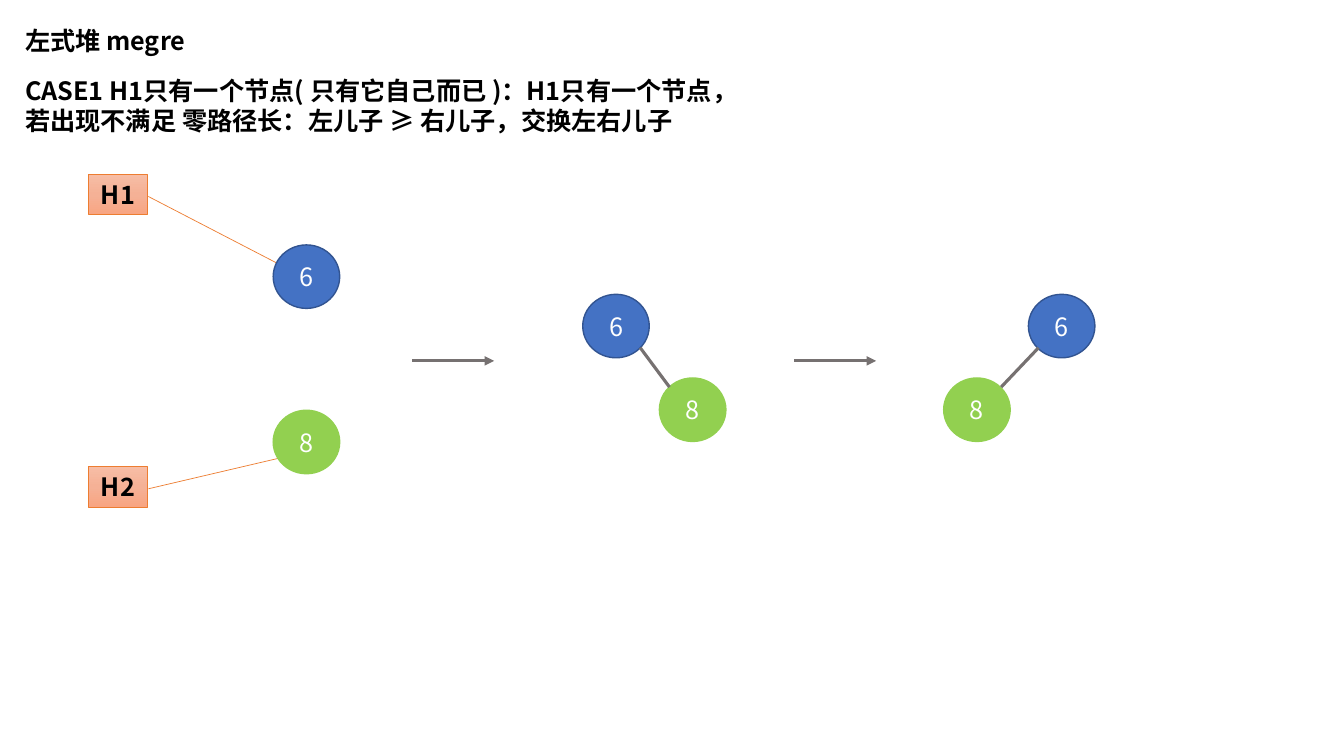
from copy import deepcopy

from lxml.etree import SubElement
from pptx import Presentation
from pptx.dml.color import RGBColor
from pptx.enum.shapes import MSO_CONNECTOR, MSO_SHAPE
from pptx.enum.text import MSO_ANCHOR, MSO_AUTO_SIZE, PP_ALIGN
from pptx.oxml.ns import qn
from pptx.util import Pt

PX = 9144  # EMU per px, 100 px to the inch
BLACK = RGBColor(0x00, 0x00, 0x00)
WHITE = RGBColor(0xFF, 0xFF, 0xFF)
BLUE = RGBColor(0x44, 0x72, 0xC4)
NAVY = RGBColor(0x32, 0x54, 0x91)
GREEN = RGBColor(0x92, 0xD0, 0x50)
GRAY = RGBColor(0x76, 0x71, 0x71)
ORANGE = RGBColor(0xED, 0x7D, 0x31)
PEACH_STOPS = [
    (0, RGBColor(0xF7, 0xBD, 0xA5)),
    (0.5, RGBColor(0xF5, 0xB1, 0x96)),
    (1, RGBColor(0xF8, 0xA5, 0x82)),
]
NODE_COLORS = {"6": (BLUE, NAVY), "8": (GREEN, GREEN)}
NODE_SIZE = (66, 63)


class HeapSlide:
    font_name = "Noto Sans CJK SC"
    font_format = {"name": font_name, "size": Pt(18)}
    centered_frame = {"word_wrap": True, "vertical_anchor": MSO_ANCHOR.MIDDLE}
    growing_frame = {"word_wrap": True, "auto_size": MSO_AUTO_SIZE.SHAPE_TO_FIT_TEXT}

    def __init__(self, deck):
        self.shapes = deck.slides.add_slide(deck.slide_layouts[6]).shapes

    def set_text(self, shape, text, color, bold, frame_format, align):
        frame = shape.text_frame
        for name, value in frame_format.items():
            setattr(frame, name, value)
        paragraph = frame.paragraphs[0]
        paragraph.alignment = align
        run = paragraph.add_run()
        run.text = text
        for name, value in {**self.font_format, "bold": bold}.items():
            setattr(run.font, name, value)
        run.font.color.rgb = color
        SubElement(run.font._element, qn("a:ea"), typeface=self.font_name)

    def outline(self, shape, color, width):
        shape.line.color.rgb = color
        shape.line.width = Pt(width)

    def heading(self, text, *box):
        textbox = self.shapes.add_textbox(*(n * PX for n in box))
        self.set_text(textbox, text, BLACK, True, self.growing_frame, PP_ALIGN.LEFT)

    def block(self, kind, text, box, text_color, bold):
        shape = self.shapes.add_shape(kind, *(n * PX for n in box))
        shape.shadow.inherit = False
        self.set_text(shape, text, text_color, bold, self.centered_frame, PP_ALIGN.CENTER)
        return shape

    def node(self, key, left, top):
        circle = self.block(MSO_SHAPE.OVAL, key, (left, top, *NODE_SIZE), WHITE, False)
        fill_color, line_color = NODE_COLORS[key]
        circle.fill.solid()
        circle.fill.fore_color.rgb = fill_color
        self.outline(circle, line_color, 1)

    def heap_label(self, text, left, top, pointer):
        callout = self.block(MSO_SHAPE.LINE_CALLOUT_1, text, (left, top, 58, 40), BLACK, True)
        for index, value in enumerate(pointer):
            callout.adjustments[index] = value
        # Three-stop gradient, running from top to bottom
        callout.fill.gradient()
        callout.fill.gradient_angle = 270
        stop_list = callout._element.spPr.find(qn("a:gradFill")).find(qn("a:gsLst"))
        stop_list.insert(1, deepcopy(stop_list[0]))
        for stop, (position, color) in zip(callout.fill.gradient_stops, PEACH_STOPS):
            stop.position = position
            stop.color.rgb = color
        self.outline(callout, ORANGE, 0.5)

    def edge(self, *ends, arrow=False):
        line = self.shapes.add_connector(MSO_CONNECTOR.STRAIGHT, *(n * PX for n in ends))
        self.outline(line, GRAY, 2.25)
        properties = line._element.spPr
        if arrow:
            SubElement(properties.find(qn("a:ln")), qn("a:tailEnd"), type="triangle")
        SubElement(properties, qn("a:effectLst"))


def main():
    deck = Presentation()
    deck.slide_width, deck.slide_height = 1333 * PX, 750 * PX
    merge = HeapSlide(deck)

    # Heap labels with pointers to their roots
    merge.heap_label("H2", 88, 463, (0.55, 1.02, -0.28, 3.46))
    merge.heap_label("H1", 88, 173, (0.55, 1.02, 2.27, 3.31))

    # Title and case description
    merge.heading("左式堆 megre", 15, 20, 204, 40)
    merge.heading(
        "CASE1 H1只有一个节点( 只有它自己而已 )：H1只有一个节点，"
        "若出现不满足 零路径长：左儿子 ≥ 右儿子，交换左右儿子",
        15, 70, 705, 71,
    )

    # Two separate heaps
    merge.node("6", 271, 243)
    merge.node("8", 271, 407)

    # Merged heap, then the heap with its children swapped
    for root_left, child_left, link in (
        (578, 654, (635, 345, 664, 384)),
        (1020, 936, (1030, 345, 993, 384)),
    ):
        merge.node("6", root_left, 292)
        merge.node("8", child_left, 375)
        merge.edge(*link)

    # Arrows between the steps
    for start in (409, 788):
        merge.edge(start, 358, start + 81, 358, arrow=True)

    deck.save("out.pptx")


if __name__ == "__main__":
    main()
